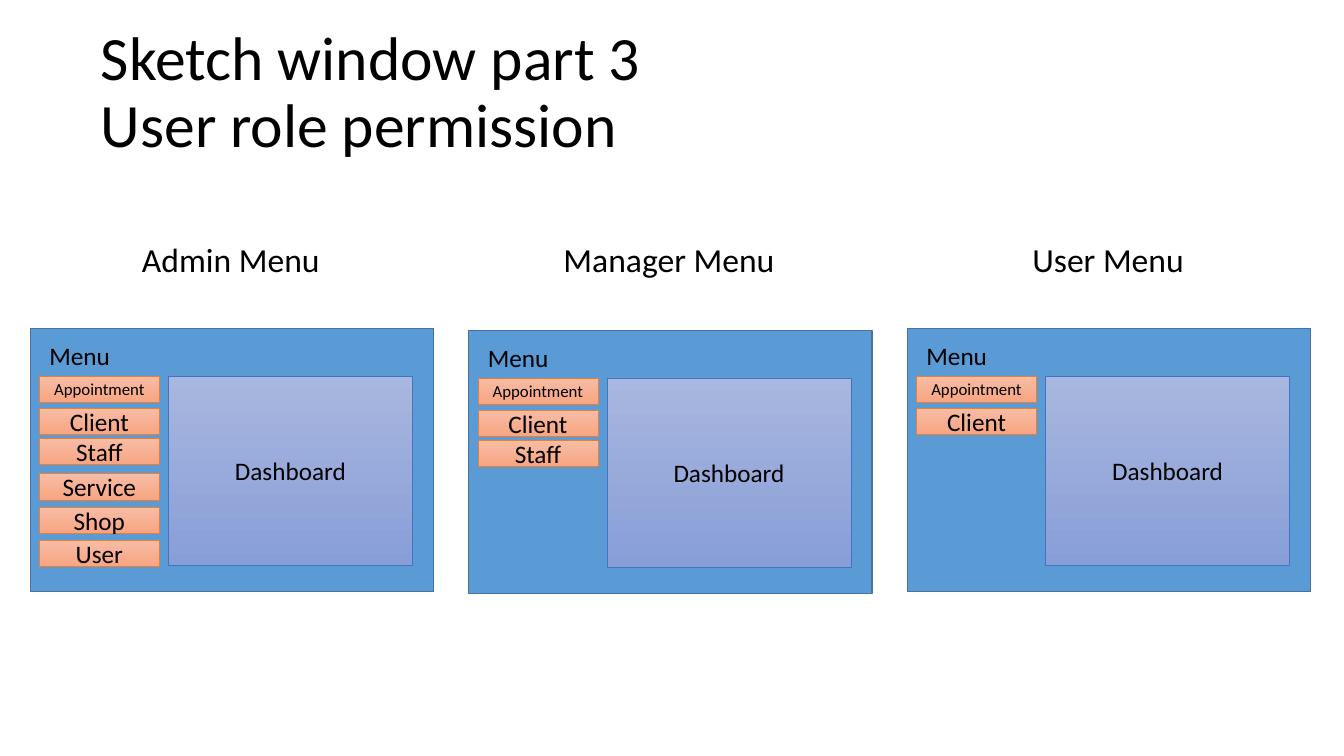
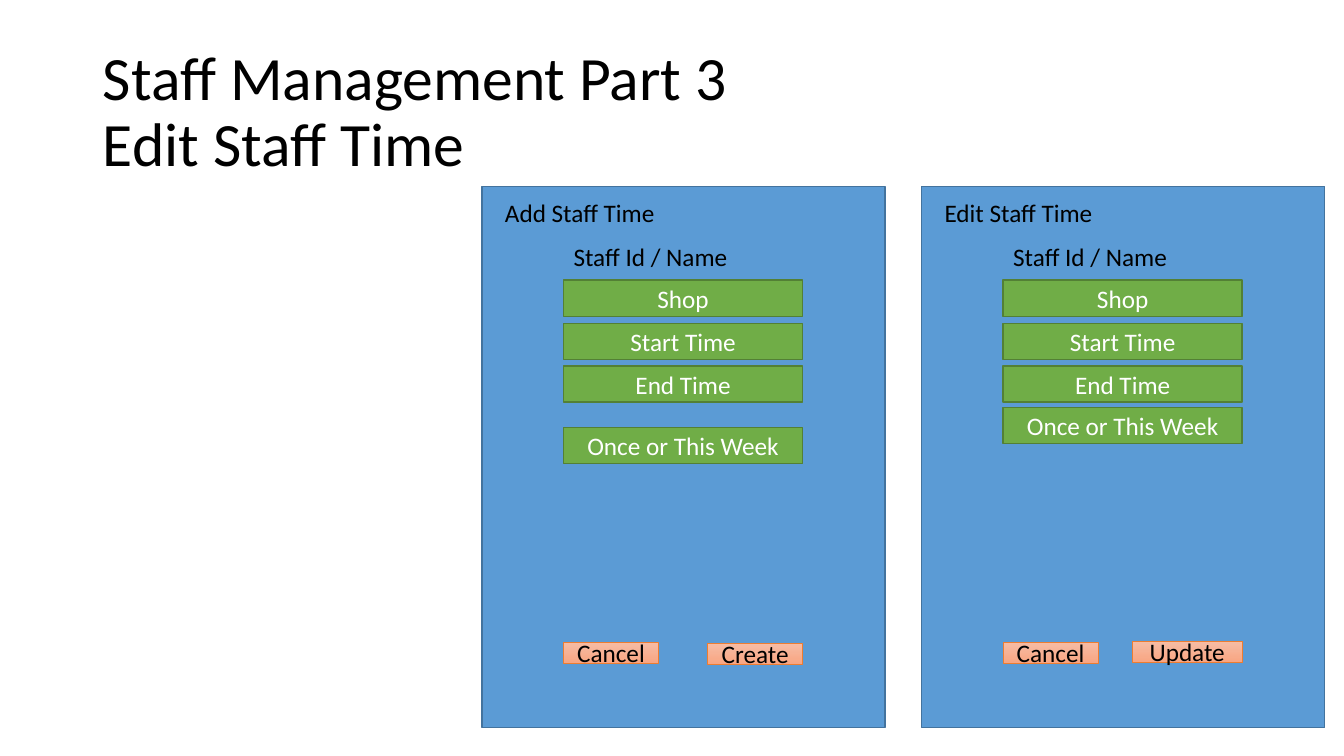
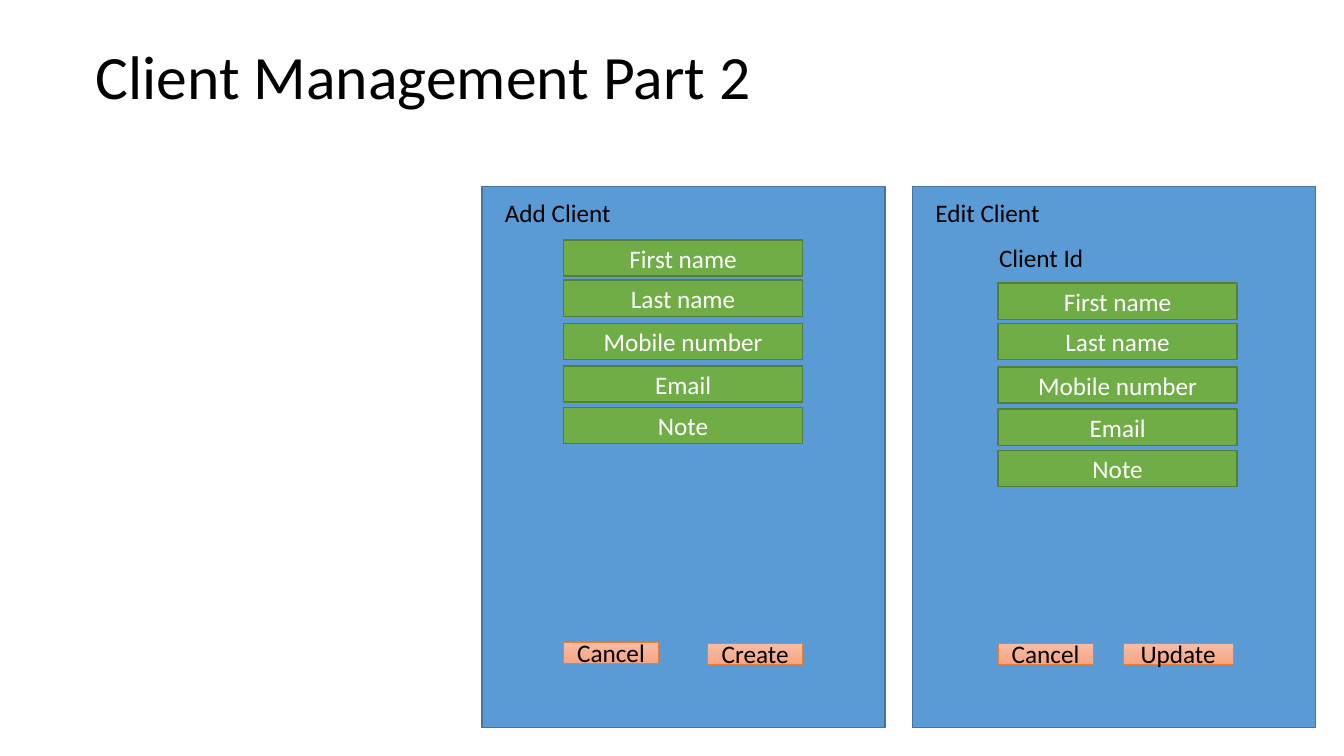
from pptx import Presentation
from pptx.dml.color import RGBColor
from pptx.enum.shapes import MSO_SHAPE
from pptx.enum.text import MSO_ANCHOR, MSO_AUTO_SIZE, PP_ALIGN
from pptx.util import Inches, Pt

RECTANGLE = MSO_SHAPE.RECTANGLE
MIDDLE = MSO_ANCHOR.MIDDLE
LEFT, CENTER = PP_ALIGN.LEFT, PP_ALIGN.CENTER
NO_FIT, GROW = MSO_AUTO_SIZE.NONE, MSO_AUTO_SIZE.SHAPE_TO_FIT_TEXT

FONT = "Calibri"
TITLE_ONLY = 5
BLACK = RGBColor(0x00, 0x00, 0x00)
WHITE = RGBColor(0xFF, 0xFF, 0xFF)
BLUE = RGBColor(0x5B, 0x9B, 0xD5)
BLUE_EDGE = RGBColor(0x43, 0x73, 0x9E)
GREEN = RGBColor(0x70, 0xAD, 0x47)
GREEN_EDGE = RGBColor(0x53, 0x80, 0x35)
ORANGE_EDGE = RGBColor(0xED, 0x7D, 0x31)
ORANGE_FADE = (RGBColor(0xF7, 0xBD, 0xA5), RGBColor(0xF8, 0xA5, 0x82))
INDIGO_EDGE = RGBColor(0x44, 0x72, 0xC4)
INDIGO_FADE = (RGBColor(0xA8, 0xB7, 0xDF), RGBColor(0x88, 0x9E, 0xD7))


class Deck:
    def __init__(self):
        self.presentation = Presentation()
        self.presentation.slide_width = Inches(13.33)
        self.presentation.slide_height = Inches(7.5)
        self.slide = None

    def add_slide(self, text, left, top, height):
        layout = self.presentation.slide_layouts[TITLE_ONLY]
        self.slide = self.presentation.slides.add_slide(layout)
        title = self.slide.shapes.title
        title.left, title.top = Inches(left), Inches(top)
        title.width, title.height = Inches(11.5), Inches(height)
        self.set_text(title, text, 44, BLACK, LEFT)
        title.text_frame.auto_size = NO_FIT
        title.text_frame.vertical_anchor = MIDDLE
        title.text_frame.paragraphs[0].line_spacing = 0.9

    def set_text(self, shape, text, size, color, alignment):
        shape.text_frame.text = text
        paragraph = shape.text_frame.paragraphs[0]
        paragraph.alignment = alignment
        paragraph.font.name = FONT
        paragraph.font.size = Pt(size)
        paragraph.font.color.rgb = color

    def label(self, text, left, top, width, height=0.4, size=18):
        box = self.slide.shapes.add_textbox(
            Inches(left), Inches(top), Inches(width), Inches(height))
        box.text_frame.word_wrap = False
        box.text_frame.auto_size = GROW
        self.set_text(box, text, size, BLACK, LEFT)

    def rectangle(self, left, top, width, height, edge, weight):
        shape = self.slide.shapes.add_shape(
            RECTANGLE, Inches(left), Inches(top), Inches(width), Inches(height))
        shape.shadow.inherit = False
        shape.line.color.rgb = edge
        shape.line.width = Pt(weight)
        shape.text_frame.vertical_anchor = MIDDLE
        return shape

    def solid(self, left, top, width, height, fill, edge):
        shape = self.rectangle(left, top, width, height, edge, 1)
        shape.fill.solid()
        shape.fill.fore_color.rgb = fill
        return shape

    def faded(self, text, left, top, width, height, fade, edge, size=18):
        shape = self.rectangle(left, top, width, height, edge, 0.5)
        shape.fill.gradient()
        shape.fill.gradient_angle = 270
        for stop, color in zip(shape.fill.gradient_stops, fade):
            stop.color.rgb = color
        self.set_text(shape, text, size, BLACK, CENTER)

    def window(self, left, top, height):
        self.solid(left, top, 4, height, BLUE, BLUE_EDGE)

    def button(self, text, left, top, width, height=0.21, size=18):
        self.faded(text, left, top, width, height, ORANGE_FADE, ORANGE_EDGE, size)

    def field(self, text, left, top):
        shape = self.solid(left, top, 2.37, 0.36, GREEN, GREEN_EDGE)
        self.set_text(shape, text, 18, WHITE, CENTER)

    def menu_window(self, left, top, items):
        self.window(left, top, 2.61)
        self.label("Menu", left + 0.09, top + 0.07, 0.81)
        for item, offset in zip(items, MENU_OFFSETS):
            size = 12 if item == "Appointment" else 18
            self.button(item, left + 0.09, top + offset, 1.19, 0.26, size)
        self.faded("Dashboard", left + 1.37, top + 0.47, 2.42, 1.88,
                   INDIGO_FADE, INDIGO_EDGE)

    def form_window(self, left, heading, heading_width, field_left, fields, tops):
        self.window(left, 1.85, 5.37)
        self.label(heading, left + 0.13, 1.91, heading_width)
        for text, top in zip(fields, tops):
            self.field(text, field_left, top)

    def actions(self, left, top, submit, submit_left, submit_top, submit_width):
        self.button("Cancel", left, top, 0.94)
        self.button(submit, submit_left, submit_top, submit_width)


MENU_ITEMS = ("Appointment", "Client", "Staff", "Service", "Shop", "User")
MENU_OFFSETS = (0.47, 0.79, 1.09, 1.44, 1.77, 2.1)
TIME_FIELDS = ("Shop", "Start Time", "End Time", "Once or This Week")
CLIENT_FIELDS = ("First name", "Last name", "Mobile number", "Email", "Note")
FIELD_TOPS = (2.38, 2.78, 3.21, 3.63, 4.04)

deck = Deck()

deck.add_slide("Sketch window part 3\vUser role permission", 0.9, 0.21, 1.45)
for role, role_left, role_width, left, top, count in (
    ("Admin Menu", 1.31, 1.98, 0.3, 3.26, 6),
    ("Manager Menu", 5.49, 2.32, 4.65, 3.28, 3),
    ("User Menu", 10.14, 1.72, 9, 3.26, 2),
):
    deck.label(role, role_left, 2.32, role_width, 0.5, 24)
    deck.menu_window(left, top, MENU_ITEMS[:count])

deck.add_slide("Staff Management Part 3\vEdit Staff Time", 0.92, 0.4, 1.45)
add_tops = FIELD_TOPS[1:4] + (4.24,)
deck.form_window(4.78, "Add Staff Time", 1.71, 5.59, TIME_FIELDS, add_tops)
deck.form_window(9.14, "Edit Staff Time", 1.69, 9.95, TIME_FIELDS, FIELD_TOPS[1:])
for left in (5.59, 9.95):
    deck.label("Staff Id / Name", left, 2.34, 1.75)
deck.actions(5.59, 6.37, "Create", 7.02, 6.38, 0.94)
deck.actions(9.95, 6.37, "Update", 11.23, 6.36, 1.09)

deck.add_slide("Client Management Part 2", 0.85, 0.34, 0.9)
edit_tops = [top + 0.43 for top in FIELD_TOPS]
deck.form_window(4.78, "Add Client", 1.26, 5.59, CLIENT_FIELDS, FIELD_TOPS)
deck.form_window(9.05, "Edit Client", 1.25, 9.9, CLIENT_FIELDS, edit_tops)
deck.label("Client Id", 9.81, 2.35, 1.05)
deck.actions(5.59, 6.37, "Create", 7.02, 6.38, 0.94)
deck.actions(9.9, 6.38, "Update", 11.14, 6.38, 1.09)

deck.presentation.save("out.pptx")
